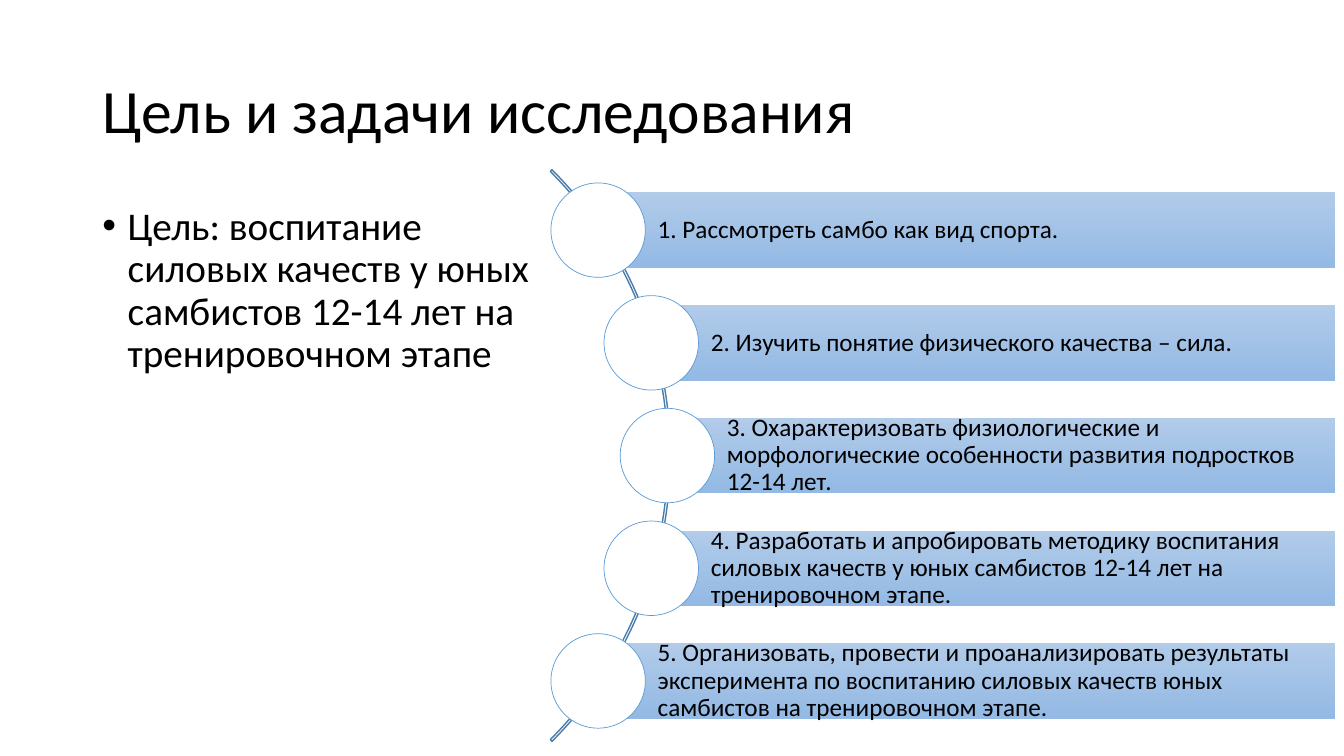
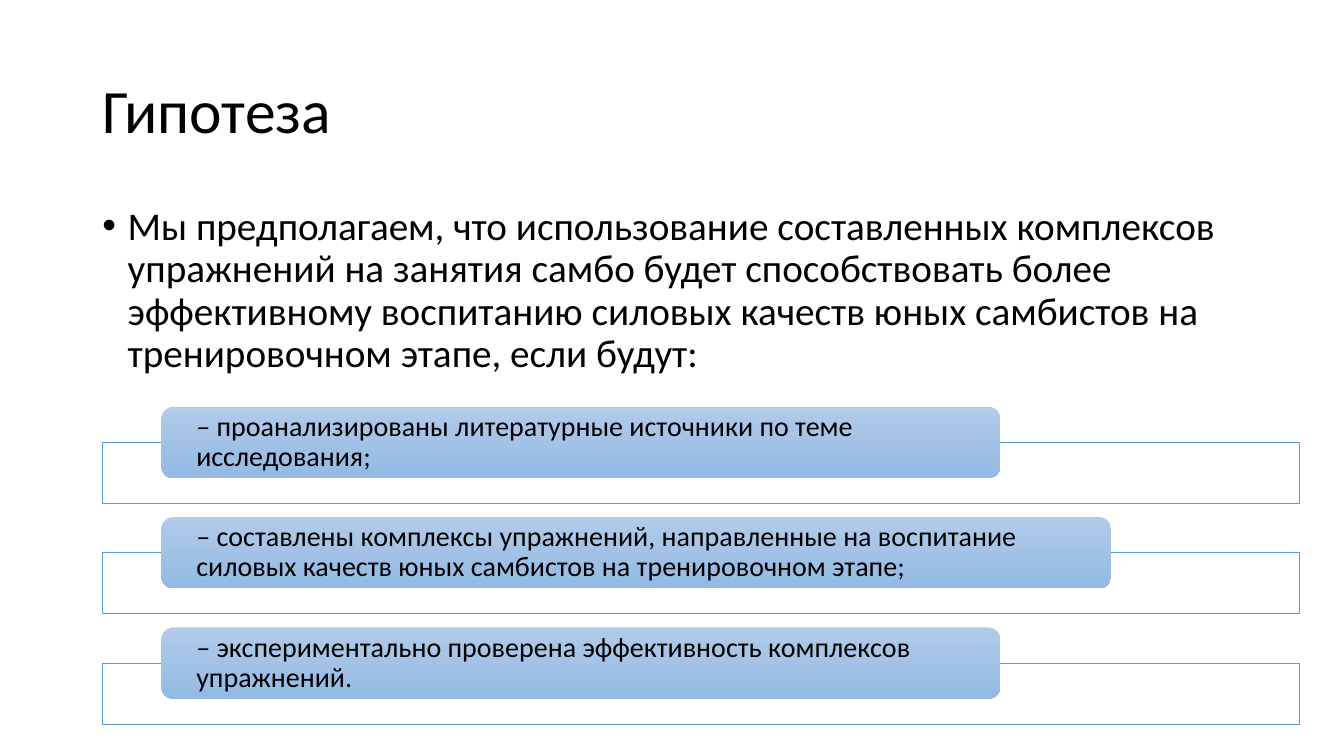
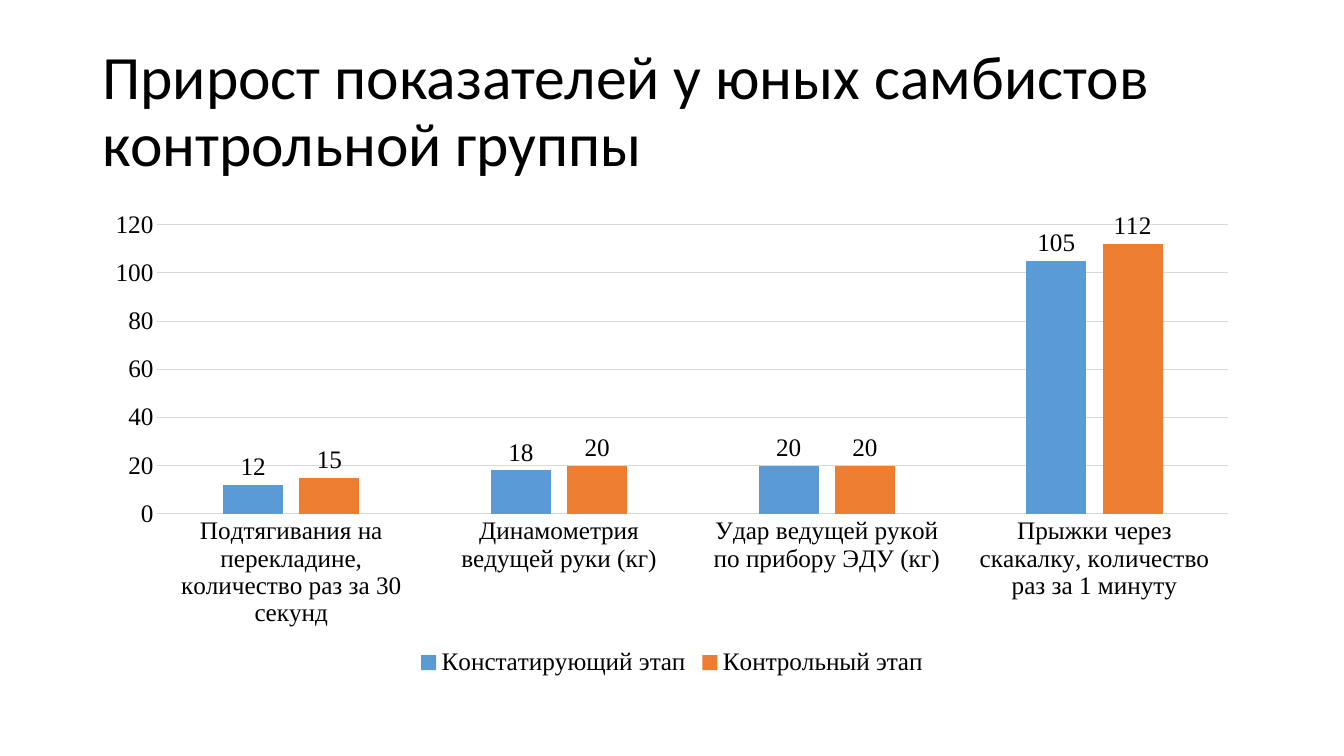
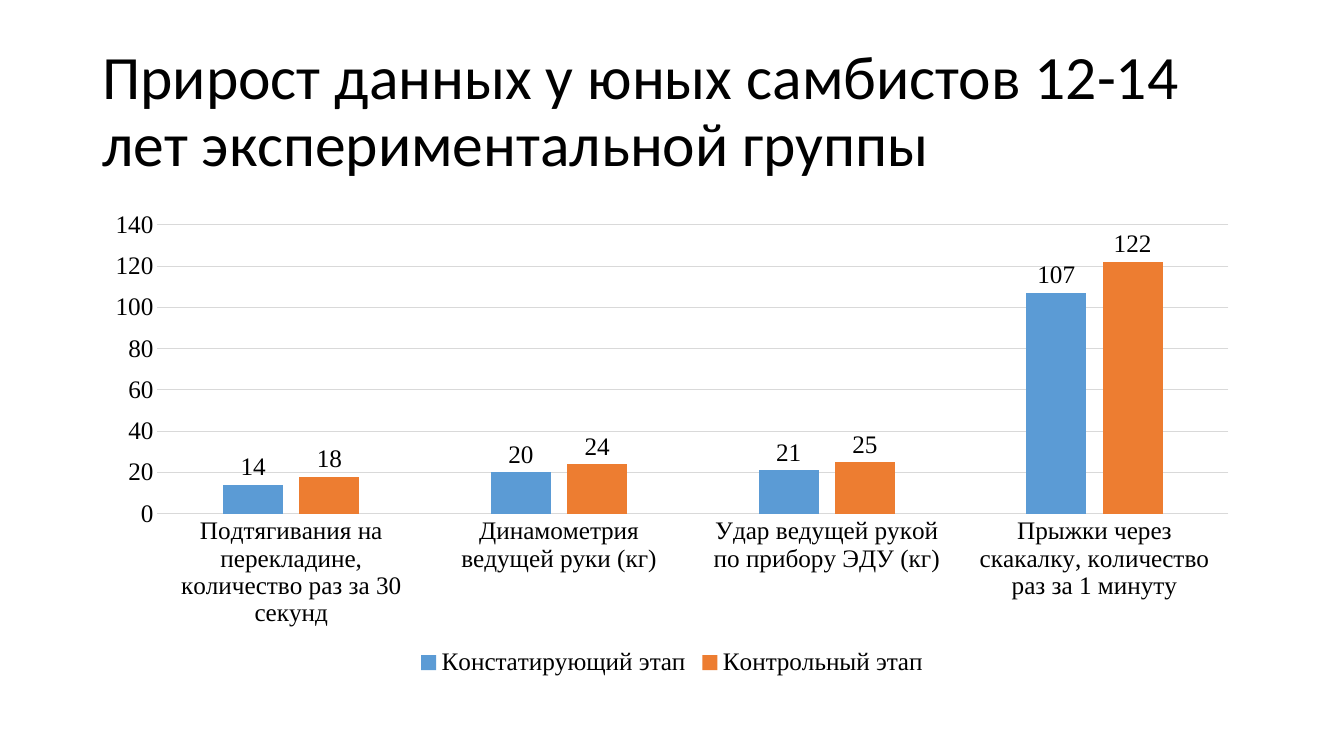
from math import sqrt

from pptx import Presentation
from pptx.chart.data import CategoryChartData
from pptx.dml.color import RGBColor
from pptx.enum.chart import XL_CHART_TYPE as ChartType
from pptx.enum.chart import XL_LABEL_POSITION as LabelPosition
from pptx.enum.chart import XL_LEGEND_POSITION as LegendPosition
from pptx.enum.chart import XL_TICK_MARK as TickMark
from pptx.enum.shapes import MSO_SHAPE as Preset
from pptx.enum.text import MSO_ANCHOR as Anchor
from pptx.enum.text import PP_ALIGN as Align
from pptx.oxml.ns import qn
from pptx.util import Cm, Pt

BLACK, WHITE = "000000", "FFFFFF"
BLUE, ORANGE = "5B9BD5", "ED7D31"
ARC_BLUE, GRID_GREY = "497CAB", "D9D9D9"
BAND = ("B1CBE9", "93B9E4")

LEFT, WIDTH = 2.33, 29.21
BODY_TOP, BODY_HEIGHT = 5.08, 12.09

TASKS = [
    "1. Рассмотреть самбо как вид спорта.",
    "2. Изучить понятие физического качества – сила.",
    "3. Охарактеризовать физиологические и морфологические особенности развития "
    "подростков 12-14 лет.",
    "4. Разработать и апробировать методику воспитания силовых качеств у юных "
    "самбистов 12-14 лет на тренировочном этапе.",
    "5. Организовать, провести и проанализировать результаты эксперимента по "
    "воспитанию силовых качеств юных самбистов на тренировочном этапе.",
]
CONDITIONS = [
    ("– проанализированы литературные источники по теме исследования;", 21.14),
    ("– составлены комплексы упражнений, направленные на воспитание силовых "
     "качеств юных самбистов на тренировочном этапе;", 23.93),
    ("– экспериментально проверена эффективность комплексов упражнений.", 21.14),
]
EXERCISES = [
    "Подтягивания на перекладине, количество раз за 30 секунд",
    "Динамометрия ведущей руки (кг)",
    "Удар ведущей рукой по прибору ЭДУ (кг)",
    "Прыжки через скакалку, количество раз за 1 минуту",
]
STAGES = [("Констатирующий этап", BLUE), ("Контрольный этап", ORANGE)]
RESULTS = [
    ("Прирост показателей у юных самбистов контрольной группы",
     [(12, 18, 20, 105), (15, 20, 20, 112)]),
    ("Прирост данных у юных самбистов 12-14 лет экспериментальной группы",
     [(14, 20, 21, 107), (18, 24, 25, 122)]),
]


def color(code):
    return RGBColor.from_string(code)


def assign(target, values):
    for name, value in values.items():
        setattr(target, name, value)


class Slides:
    text_font = "Calibri"
    chart_font = "Times New Roman"

    def __init__(self):
        self.deck = Presentation()
        assign(self.deck, {"slide_width": Cm(33.87), "slide_height": Cm(19.05)})
        self.page = None

    def start(self, title):
        self.page = self.deck.slides.add_slide(self.deck.slide_layouts[6])
        self.text(title, (LEFT, 1.01, WIDTH, 3.68), 44, Anchor.MIDDLE)

    def set_font(self, font, name, size):
        assign(font, {"name": name, "size": Pt(size)})
        font.color.rgb = color(BLACK)

    def set_line(self, line, code, width):
        line.color.rgb = color(code)
        line.width = Pt(width)

    def put_words(self, shape, words, size, anchor, insets=None):
        frame = shape.text_frame
        assign(frame, {"word_wrap": True, "vertical_anchor": anchor, **(insets or {})})
        para = frame.paragraphs[0]
        assign(para, {"alignment": Align.LEFT, "line_spacing": 0.9})
        span = para.add_run()
        span.text = words
        self.set_font(span.font, self.text_font, size)
        return para

    def text(self, words, place, size, anchor=Anchor.TOP):
        box = self.page.shapes.add_textbox(*map(Cm, place))
        return self.put_words(box, words, size, anchor)

    def bullet(self, words, width):
        para = self.text(words, (LEFT, BODY_TOP, width, BODY_HEIGHT), 28)
        para.space_before = Pt(10)
        props = para._p.get_or_add_pPr()
        props.set("marL", str(Cm(0.64)))
        props.set("indent", str(Cm(-0.64)))
        for tag, name, value in (("a:buFont", "typeface", "Arial"), ("a:buChar", "char", "•")):
            props.append(props.makeelement(qn(tag), {name: value}))

    def shape(self, preset, place, fill=None, line=None):
        shape = self.page.shapes.add_shape(preset, *map(Cm, place))
        shape.shadow.inherit = False
        if fill:
            shape.fill.solid()
            shape.fill.fore_color.rgb = color(fill)
        else:
            shape.fill.background()
        if line:
            self.set_line(shape.line, *line)
        else:
            shape.line.fill.background()
        return shape

    def band(self, preset, place, words, size, insets):
        band = self.shape(preset, place)
        band.fill.gradient()
        band.fill.gradient_angle = 270
        for stop, code in zip(band.fill.gradient_stops, BAND):
            stop.color.rgb = color(code)
        self.put_words(band, words, size, Anchor.MIDDLE, insets)

    def chart(self, rows):
        data = CategoryChartData()
        data.categories = EXERCISES
        for (stage, _), values in zip(STAGES, rows):
            data.add_series(stage, values)
        place = map(Cm, (LEFT, BODY_TOP, WIDTH, BODY_HEIGHT))
        chart = self.page.shapes.add_chart(ChartType.COLUMN_CLUSTERED, *place, data).chart
        assign(chart, {"has_title": False, "has_legend": True})
        assign(chart.legend, {"position": LegendPosition.BOTTOM, "include_in_layout": False})
        plot = chart.plots[0]
        assign(plot, {"gap_width": 219, "overlap": -27, "vary_by_categories": False,
                      "has_data_labels": True})
        assign(plot.data_labels, {"show_value": True, "position": LabelPosition.OUTSIDE_END})
        for series, (_, code) in zip(plot.series, STAGES):
            series.format.fill.solid()
            series.format.fill.fore_color.rgb = color(code)
        category, value = chart.category_axis, chart.value_axis
        for axis in (category, value):
            assign(axis, {"major_tick_mark": TickMark.NONE, "minor_tick_mark": TickMark.NONE})
        self.set_line(category.format.line, GRID_GREY, 0.75)
        self.set_line(value.major_gridlines.format.line, GRID_GREY, 0.75)
        value.format.line.fill.background()
        for part in (chart, chart.legend, plot.data_labels,
                     category.tick_labels, value.tick_labels):
            self.set_font(part.font, self.chart_font, 18)


def add_goals(slides):
    slides.start("Цель и задачи исследования")
    slides.bullet("Цель: воспитание силовых качеств у юных самбистов 12-14 лет "
                  "на тренировочном этапе", 11.46)
    center_x, center_y, size = 6.71, 11.48, 20.37
    arc = slides.shape(Preset.BLOCK_ARC, (center_x - size / 2, center_y - size / 2, size, size),
                       line=(ARC_BLUE, 1))
    for index, value in enumerate((189, 27, 0.003)):
        arc.adjustments[index] = value
    radius, step, dot, height, right = 10.11, 2.84, 2.38, 1.9, 33.65
    insets = {"margin_left": Cm(1.5), "margin_right": Cm(0.13),
              "margin_top": Cm(0.13), "margin_bottom": Cm(0.13)}
    for index, task in enumerate(TASKS):
        offset = (index - len(TASKS) // 2) * step
        x, y = center_x + sqrt(radius ** 2 - offset ** 2), center_y + offset
        slides.band(Preset.RECTANGLE, (x, y - height / 2, right - x, height), task, 18, insets)
        slides.shape(Preset.OVAL, (x - dot / 2, y - dot / 2, dot, dot), WHITE, (BLUE, 0.5))


def add_hypothesis(slides):
    slides.start("Гипотеза")
    slides.bullet("Мы предполагаем, что использование составленных комплексов упражнений на "
                  "занятия самбо будет способствовать более эффективному воспитанию силовых "
                  "качеств юных самбистов на тренировочном этапе, если будут:", WIDTH)
    insets = {"margin_left": Cm(0.79), "margin_right": Cm(0.79),
              "margin_top": 0, "margin_bottom": 0}
    for index, (condition, width) in enumerate(CONDITIONS):
        top = 10.25 + index * 2.78
        slides.shape(Preset.RECTANGLE, (2.57, top + 0.9, 30.18, 1.54), WHITE, (BLUE, 0.5))
        slides.band(Preset.ROUNDED_RECTANGLE, (4.07, top, width, 1.8), condition, 20, insets)


def main():
    slides = Slides()
    add_goals(slides)
    add_hypothesis(slides)
    for title, rows in RESULTS:
        slides.start(title)
        slides.chart(rows)
    slides.deck.save("out.pptx")


if __name__ == "__main__":
    main()
